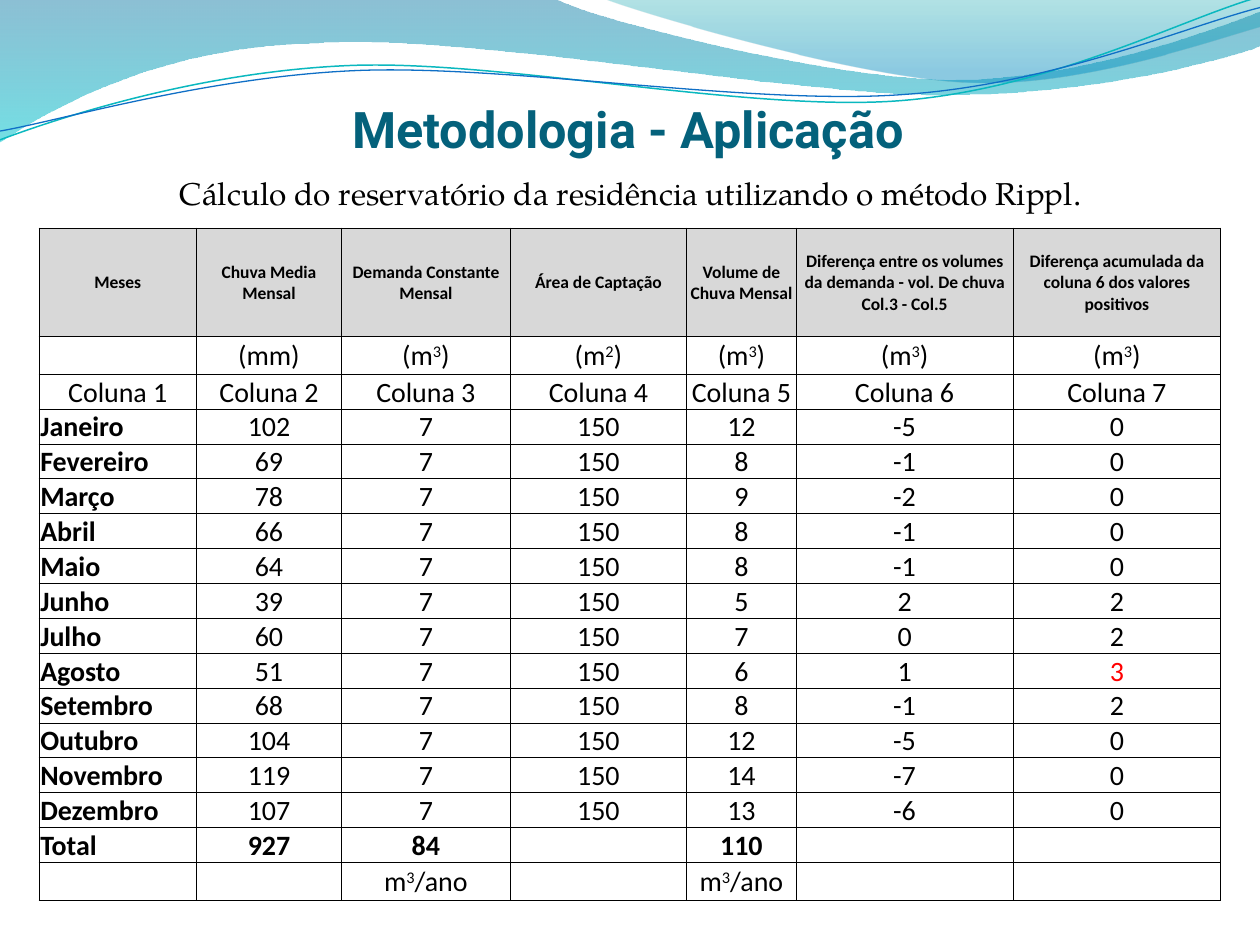
"""Builds the slide on sizing a rainwater reservoir with the Rippl method."""
from math import cos, radians, sin

from lxml.etree import SubElement
from pptx import Presentation
from pptx.dml.color import RGBColor
from pptx.enum.text import MSO_ANCHOR as Anchor, MSO_AUTO_SIZE as AutoSize, PP_ALIGN as Align
from pptx.oxml.ns import qn
from pptx.util import Inches, Pt

COLORS = {"title": "04617B", "text": "000000", "peak": "FF0000", "header": "D8D8D8",
          "cell": "FFFFFF", "border": "000000", "teal line": "0AB8BF", "blue line": "0F6FC6",
          "deep blue": "0074A1", "aqua": "00C6CF", "sea green": "00A1A9", "sky": "008BBF"}
TITLE = "Metodologia - Aplicação"
SUBTITLE = "Cálculo do reservatório da residência utilizando o método Rippl"
HEADERS = ["Meses", "Chuva Media Mensal", "Demanda Constante Mensal", "Área de Captação",
           "Volume de Chuva Mensal",
           "Diferença entre os volumes da demanda - vol. De chuva Col.3 - Col.5",
           "Diferença acumulada da coluna 6 dos valores positivos"]
UNITS = ["", "(mm)", "(m^3^)", "(m^2^)", "(m^3^)", "(m^3^)", "(m^3^)"]
DEMAND, AREA = 7, 150
MONTHS = [  # month, rain, rain volume, difference, accumulated difference
    ("Janeiro", 102, 12, -5, 0), ("Fevereiro", 69, 8, -1, 0), ("Março", 78, 9, -2, 0),
    ("Abril", 66, 8, -1, 0), ("Maio", 64, 8, -1, 0), ("Junho", 39, 5, 2, 2),
    ("Julho", 60, 7, 0, 2), ("Agosto", 51, 6, 1, 3), ("Setembro", 68, 8, -1, 2),
    ("Outubro", 104, 12, -5, 0), ("Novembro", 119, 14, -7, 0), ("Dezembro", 107, 13, -6, 0)]
TOTALS = ["Total", 927, 84, "", 110, "", ""]
YEARLY = ["", "", "m^3^/ano", "", "m^3^/ano", "", ""]
COLUMN_WIDTHS = [1.25, 1.15, 1.34, 1.4, 0.87, 1.72, 1.65]
HEADER_HEIGHT, UNIT_HEIGHT, ROW_HEIGHT = 0.86, 0.3, 0.26

# Each outline lists points (two numbers) and cubic curves (six numbers).
WAVES = [
    ([(0, 0), (4.4, -0.01), (4.76, 0.17, 6.64, 0.63, 7.58, 0.63),
      (8.53, 0.63, 9.58, 0.26, 10, 0.09), (10.01, 0.36), (9.83, 0.44, 8.7, 0.76, 7.46, 0.75),
      (6.22, 0.75, 3.82, 0.28, 2.57, 0.34), (1.29, 0.36, 0.46, 0.83, -0.01, 1.13), (0, 0)],
     [(0, "deep blue", 45), (1, "aqua", 55)]),
    ([(4.79, -0.01), (5.09, 0.11, 6.82, 0.62, 7.69, 0.65),
      (8.56, 0.69, 9.61, 0.32, 10, 0.21), (10, 0), (4.79, -0.01)],
     [(0, "sea green", 30), (0.8, "sky", 45)])]
RIPPLES = [
    ([(0, 1.11), (0.48, 0.93, 1.58, 0.57, 2.77, 0.52), (3.95, 0.47, 5.93, 0.89, 7.13, 0.8),
      (8.33, 0.71, 9.38, 0.15, 9.98, -0.02)], "teal line", 0.85),
    ([(0, 1.04), (0.47, 0.96, 1.64, 0.61, 2.83, 0.56), (4.03, 0.51, 5.97, 0.84, 7.17, 0.75),
      (8.36, 0.67, 9.41, 0.21, 10, 0.06)], "blue line", 0.75)]
TILT, PIVOT = -2.7, (4.99, 0.58)


def write(paragraph, text, font="Calibri", size=16, color="text", bold=False, align=Align.CENTER):
    """Append text to a paragraph; parts between carets are superscript."""
    paragraph.alignment = align
    for index, part in enumerate(str(text).split("^")):
        run = paragraph.add_run()
        run.text = part
        run.font.name, run.font.size, run.font.bold = font, Pt(size), bold
        run.font.color.rgb = RGBColor.from_string(COLORS[color])
        if index % 2:
            run.font._element.set("baseline", "30000")


def turn(point, degrees):
    """Turn a point clockwise about the pivot."""
    dx, dy = point[0] - PIVOT[0], point[1] - PIVOT[1]
    c, s = cos(radians(degrees)), sin(radians(degrees))
    return PIVOT[0] + dx * c - dy * s, PIVOT[1] + dx * s + dy * c


def draw(outline, close=False, tilt=0):
    """Draw an outline of lines and cubic curves, tilted about the pivot."""
    points = [turn(step[i:i + 2], -tilt) for step in outline for i in range(0, len(step), 2)]
    emu = [(Inches(x), Inches(y)) for x, y in points]
    builder = slide.shapes.build_freeform(*emu[0])
    builder.add_line_segments(emu[1:], close=close)
    shape = builder.convert_to_shape()
    shape.shadow.inherit = False
    shape.rotation = tilt
    segments = iter(list(shape._element.iter(qn("a:lnTo"))))
    for step in outline[1:]:
        group = [next(segments) for _ in range(len(step) // 2)]
        if len(group) == 3:
            curve = SubElement(group[0].getparent(), qn("a:cubicBezTo"))
            group[0].addprevious(curve)
            for segment in group:
                curve.append(segment[0])
                segment.getparent().remove(segment)
    return shape


def fill_cell(cell, text, fill="cell", anchor=Anchor.BOTTOM, **text_format):
    """Format one table cell and write its text."""
    cell.margin_left = cell.margin_right = cell.margin_top = Inches(0.01)
    cell.margin_bottom = 0
    cell.vertical_anchor = anchor
    properties = cell._tc.get_or_add_tcPr()
    for side in ("a:lnL", "a:lnR", "a:lnT", "a:lnB"):
        border = SubElement(properties, qn(side), w=str(Pt(0.5)))
        SubElement(SubElement(border, qn("a:solidFill")), qn("a:srgbClr"), val=COLORS["border"])
    cell.fill.solid()
    cell.fill.fore_color.rgb = RGBColor.from_string(COLORS[fill])
    paragraph = cell.text_frame.paragraphs[0]
    if text == "":
        SubElement(paragraph._p, qn("a:endParaRPr"), sz="1600")
    else:
        write(paragraph, text, **text_format)


deck = Presentation()
deck.slide_width, deck.slide_height = Inches(10), Inches(7.5)
slide = deck.slides.add_slide(deck.slide_layouts[5])

for outline, stops in WAVES:
    wave = draw(outline, close=True)
    wave.line.fill.background()
    wave.fill.gradient()
    wave.fill.gradient_angle = 270
    for stop, (position, color, opacity) in zip(wave.fill.gradient_stops, stops):
        stop.position = position
        stop.color.rgb = RGBColor.from_string(COLORS[color])
        tint = stop._gs.find(qn("a:srgbClr"))
        SubElement(tint, qn("a:alpha"), val=str(opacity * 1000))

for outline, color, width in RIPPLES:
    ripple = draw(outline, tilt=TILT)
    ripple.fill.background()
    ripple.line.color.rgb = RGBColor.from_string(COLORS[color])
    ripple.line.width = Pt(width)

title = slide.shapes.title
title._element.getparent().append(title._element)
title.left, title.top, title.width, title.height = map(Inches, (0, 0.78, 9.97, 0.48))
heading = title.text_frame
heading.auto_size, heading.vertical_anchor = AutoSize.NONE, Anchor.BOTTOM
heading.margin_left = heading.margin_right = heading.margin_bottom = 0
heading.margin_top = Inches(0.05)
write(heading.paragraphs[0], TITLE, font="Roboto", size=28.8, color="title", bold=True)

subtitle = slide.shapes.add_textbox(*map(Inches, (0.2, 1.33, 9.61, 0.4))).text_frame
subtitle.word_wrap = True
subtitle.auto_size = AutoSize.SHAPE_TO_FIT_TEXT
write(subtitle.paragraphs[0], SUBTITLE, font="TeX Gyre Pagella", size=18)
write(subtitle.paragraphs[0], ".", font="Times New Roman", size=18)

columns = [f"Coluna {number}" for number in range(1, len(HEADERS) + 1)]
months = [(name, rain, DEMAND, AREA, volume, gap, total)
          for name, rain, volume, gap, total in MONTHS]
rows = [HEADERS, UNITS, columns, *months, TOTALS, YEARLY]
heights = [HEADER_HEIGHT, UNIT_HEIGHT, *[ROW_HEIGHT] * (len(rows) - 3), UNIT_HEIGHT]
peak = max(month[-1] for month in months)

table = slide.shapes.add_table(len(rows), len(HEADERS), Inches(0.31), Inches(1.81),
                               Inches(sum(COLUMN_WIDTHS)), Inches(sum(heights))).table
table.first_row = table.horz_banding = False
for column, width in zip(table.columns, COLUMN_WIDTHS):
    column.width = Inches(width)
for r, (row, height) in enumerate(zip(rows, heights)):
    table.rows[r].height = Inches(height)
    middle = row in (HEADERS, UNITS, YEARLY)
    for c, text in enumerate(row):
        name_cell = c == 0 and (row in months or row is TOTALS)
        fill_cell(table.cell(r, c), text,
                  fill="header" if row is HEADERS else "cell",
                  anchor=Anchor.MIDDLE if middle else Anchor.BOTTOM,
                  size=10 if row is HEADERS else 16,
                  bold=name_cell or row is HEADERS or row is TOTALS,
                  color="peak" if row in months and c == 6 and text == peak else "text",
                  align=Align.LEFT if name_cell else Align.CENTER)

deck.save("out.pptx")
